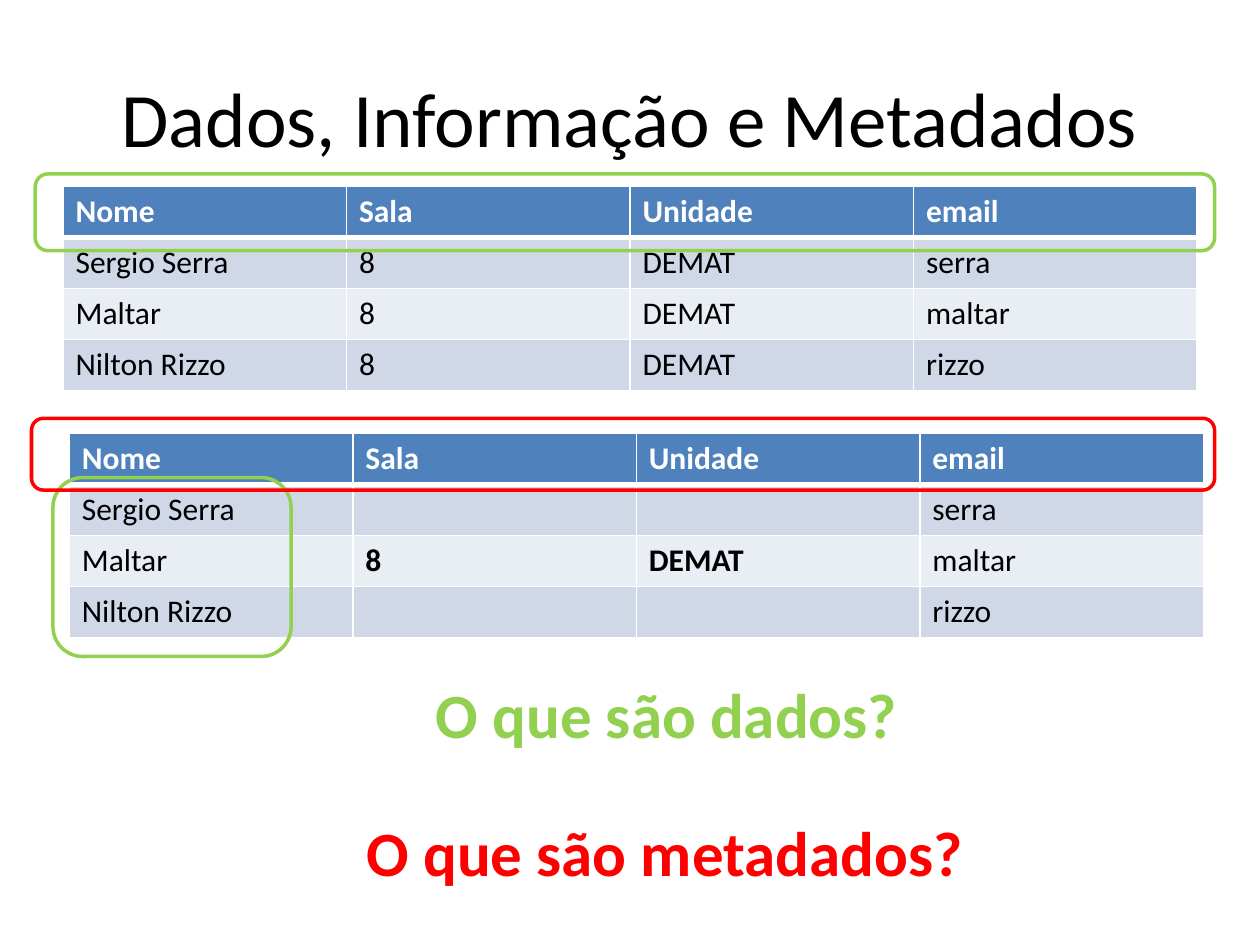
"""Build the slide on data, information and metadata with two staff tables."""
from lxml.etree import SubElement
from pptx import Presentation
from pptx.dml.color import RGBColor
from pptx.enum.shapes import MSO_SHAPE as Preset
from pptx.enum.text import MSO_ANCHOR as Anchor, PP_ALIGN as Align
from pptx.oxml.ns import qn
from pptx.util import Inches, Pt

COLORS = {"black": "000000", "white": "FFFFFF", "header": "4F81BD",
          "odd": "D0D8E8", "even": "E9EDF4", "data": "92D050", "metadata": "FF0000"}


def write(frame, text, size=18, color="black", bold=False, align=Align.LEFT):
    paragraph = frame.paragraphs[0]
    paragraph.alignment = align
    run = paragraph.add_run()
    run.text = text
    run.font.name = "Calibri"
    run.font.size = Pt(size)
    run.font.bold = bold
    run.font.color.rgb = RGBColor.from_string(COLORS[color])


def add_borders(cell, widths):
    properties = cell._tc.get_or_add_tcPr()
    for side, width in zip("LRTB", widths):
        border = SubElement(properties, qn(f"a:ln{side}"), w=str(Pt(width)))
        fill = SubElement(border, qn("a:solidFill"))
        SubElement(fill, qn("a:srgbClr"), val=COLORS["white"])


deck = Presentation()
deck.slide_width, deck.slide_height = Inches(10), Inches(7.5)
slide = deck.slides.add_slide(deck.slide_layouts[6])
shapes = slide.shapes

title = shapes.add_textbox(Inches(0.5), Inches(0.3), Inches(9), Inches(1.25)).text_frame
title.word_wrap = True
title.vertical_anchor = Anchor.MIDDLE
write(title, "Dados, Informação e Metadados", size=44, align=Align.CENTER)

header = ["Nome", "Sala", "Unidade", "email"]
people = [("Sergio Serra", "serra"), ("Maltar", "maltar"), ("Nilton Rizzo", "rizzo")]
shared = ["8", "DEMAT"]
repeated = [[name, *shared, email] for name, email in people]
grouped = [[name, *(shared if name == "Maltar" else ["", ""]), email]
           for name, email in people]

for left, top, records, bold_shared in [(0.5, 1.48, repeated, False),
                                        (0.55, 3.44, grouped, True)]:
    staff = shapes.add_table(4, 4, Inches(left), Inches(top), Inches(9), Inches(1.62)).table
    for r, record in enumerate([header, *records]):
        band = "header" if r == 0 else "odd" if r % 2 else "even"
        for c, value in enumerate(record):
            cell = staff.cell(r, c)
            add_borders(cell, [1, 1, 3 if r == 1 else 1, 3 if r == 0 else 1])
            cell.fill.solid()
            cell.fill.fore_color.rgb = RGBColor.from_string(COLORS[band])
            if value:
                write(cell.text_frame, value, color="black" if r else "white",
                      bold=r == 0 or (bold_shared and value in shared))

for left, top, width, question, color in [
        (3.36, 5.31, 3.9, "O que são dados?", "data"),
        (2.81, 6.41, 4.98, "O que são metadados?", "metadata")]:
    box = shapes.add_textbox(Inches(left), Inches(top), Inches(width), Inches(0.71))
    box.text_frame.word_wrap = False
    write(box.text_frame, question, size=36, color=color, bold=True)

for left, top, width, height, color in [
        (0.42, 3.79, 1.89, 1.42, "data"),
        (0.25, 3.32, 9.39, 0.57, "metadata"),
        (0.28, 1.38, 9.36, 0.61, "data")]:
    highlight = shapes.add_shape(Preset.ROUNDED_RECTANGLE, Inches(left), Inches(top),
                                 Inches(width), Inches(height))
    highlight.shadow.inherit = False
    highlight.fill.background()
    highlight.line.color.rgb = RGBColor.from_string(COLORS[color])
    highlight.line.width = Pt(2)

deck.save("out.pptx")
